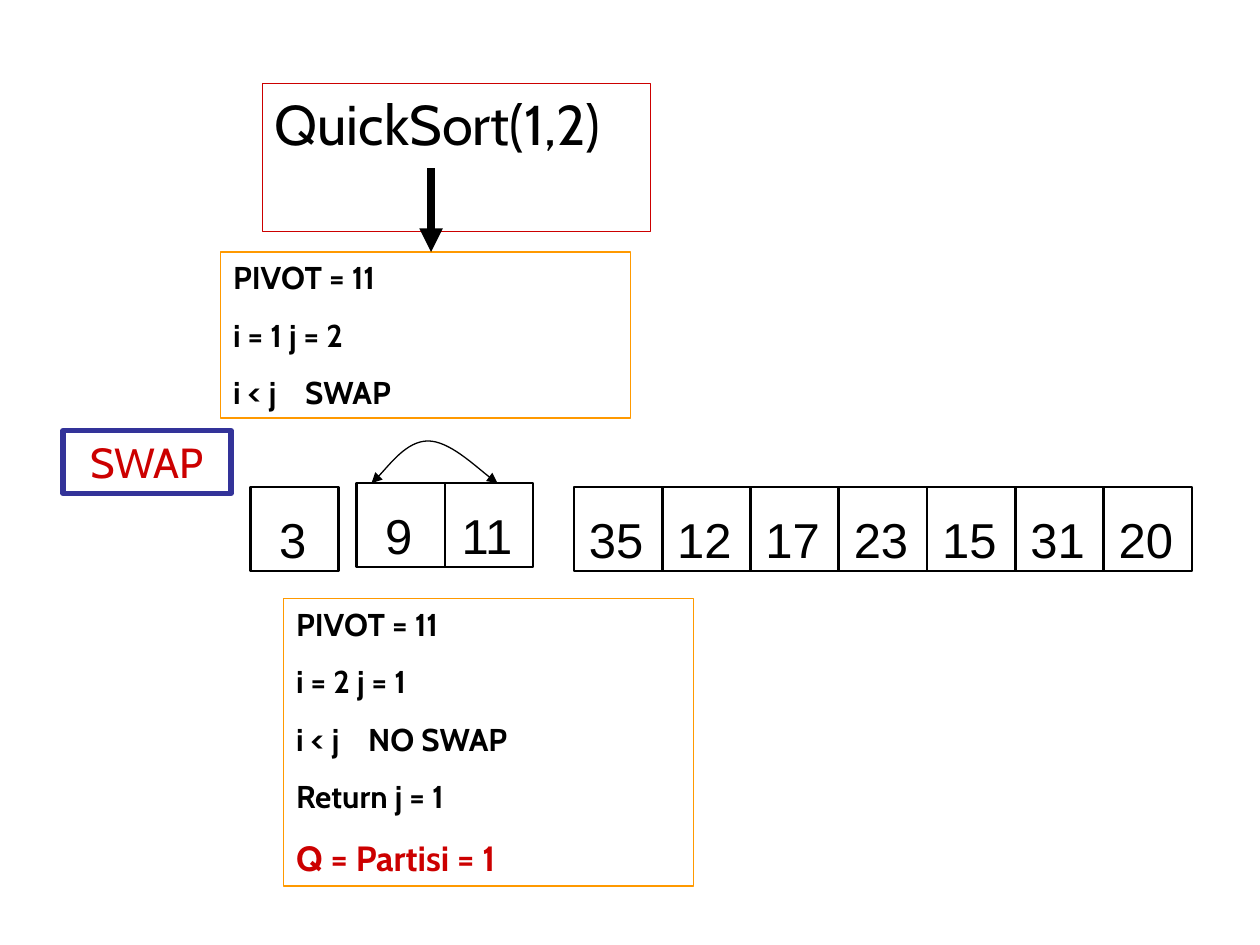
from lxml.etree import SubElement
from pptx import Presentation
from pptx.dml.color import RGBColor
from pptx.enum.shapes import MSO_CONNECTOR as Connector, MSO_SHAPE as Shape
from pptx.enum.text import MSO_ANCHOR as Anchor, PP_ALIGN as Align
from pptx.oxml.ns import qn
from pptx.util import Cm, Pt

BLACK = RGBColor(0x00, 0x00, 0x00)
RED = RGBColor(0xCC, 0x00, 0x00)
ORANGE = RGBColor(0xFF, 0x99, 0x00)
INDIGO = RGBColor(0x33, 0x33, 0x99)

CELL_WIDTH, CELL_HEIGHT = 1.78, 1.69


class SlideBuilder:
    text_font = "Cabin"
    number_font = "Arial"
    action_tab = 1.45

    def __init__(self, slide):
        self.slide = slide

    def frame(self, left, top, width, height, color, weight):
        box = self.slide.shapes.add_shape(
            Shape.RECTANGLE, Cm(left), Cm(top), Cm(width), Cm(height))
        box.shadow.inherit = False
        box.fill.background()
        box.line.color.rgb = color
        box.line.width = Pt(weight)
        box.text_frame.word_wrap = True
        box.text_frame.vertical_anchor = Anchor.TOP
        return box

    def add_text(self, paragraph, text, size, color=BLACK, bold=False,
                 font=None, align=Align.LEFT):
        paragraph.alignment = align
        run = paragraph.add_run()
        run.text = text
        run.font.name = font or self.text_font
        run.font.size = Pt(size)
        run.font.bold = bold
        run.font.color.rgb = color

    def label(self, bounds, text, size, color, border, weight, align=Align.LEFT):
        box = self.frame(*bounds, border, weight)
        self.add_text(box.text_frame.paragraphs[0], text, size, color, align=align)

    def steps(self, bounds, lines, result=None):
        """Trace box: bold lines, then an optional highlighted result."""
        text_frame = self.frame(*bounds, ORANGE, 0.75).text_frame
        rows = [(line, 18, BLACK, 11.2) for line in lines]
        if result:
            rows.append((result, 20, RED, 12.5))
        for index, (text, size, color, gap) in enumerate(rows):
            if index == 0:
                paragraph = text_frame.paragraphs[0]
            else:
                paragraph = text_frame.add_paragraph()
                paragraph.space_before = Pt(gap)
            if "\t" in text:
                stops = SubElement(paragraph._p.get_or_add_pPr(), qn("a:tabLst"))
                SubElement(stops, qn("a:tab"), pos=str(Cm(self.action_tab)), algn="l")
            self.add_text(paragraph, text, size, color, bold=True)

    def cells(self, left, top, values):
        """Row of adjoining array cells."""
        for index, value in enumerate(values):
            cell = self.frame(left + index * CELL_WIDTH, top,
                              CELL_WIDTH, CELL_HEIGHT, BLACK, 1.5)
            text_frame = cell.text_frame
            text_frame.word_wrap = False
            text_frame.vertical_anchor = Anchor.BOTTOM
            text_frame.margin_left = text_frame.margin_top = 0
            text_frame.margin_right = Cm(0.08)
            text_frame.margin_bottom = Cm(0.05)
            self.add_text(text_frame.paragraphs[0], str(value), 28,
                          font=self.number_font, align=Align.CENTER)

    def arrowheads(self, line, *ends):
        for end in ends:
            SubElement(line._get_or_add_ln(), qn(f"a:{end}"), type="triangle")

    def arrow(self, start, end, weight):
        connector = self.slide.shapes.add_connector(
            Connector.STRAIGHT, *map(Cm, start + end))
        connector.line.color.rgb = BLACK
        connector.line.width = Pt(weight)
        self.arrowheads(connector.line, "tailEnd")
        SubElement(connector._element.spPr, qn("a:effectLst"))

    def swap_curve(self, start, points):
        """Double-headed curve; every three points make one Bezier segment."""
        builder = self.slide.shapes.build_freeform(*map(Cm, start))
        builder.add_line_segments([(Cm(x), Cm(y)) for x, y in points], close=False)
        curve = builder.convert_to_shape()
        outline = next(curve._element.iter(qn("a:path")))
        segments = outline.findall(qn("a:lnTo"))
        for first in range(0, len(segments), 3):
            bezier = SubElement(outline, qn("a:cubicBezTo"))
            for segment in segments[first:first + 3]:
                bezier.append(segment[0])
                outline.remove(segment)
        curve.shadow.inherit = False
        curve.fill.background()
        curve.line.color.rgb = BLACK
        curve.line.width = Pt(0.75)
        self.arrowheads(curve.line, "headEnd", "tailEnd")


def main():
    deck = Presentation()
    deck.slide_width, deck.slide_height = Cm(25.4), Cm(19.05)
    page = SlideBuilder(deck.slides.add_slide(deck.slide_layouts[6]))

    page.steps((4.45, 5.08, 8.26, 3.35),
               ["PIVOT = 11", "i = 1 j = 2", "i < j\tSWAP"])
    page.label((5.29, 1.69, 7.83, 2.98), "QuickSort(1,2)", 32, BLACK, RED, 0.75)
    page.arrow((8.69, 3.39), (8.69, 5.08), 4.5)

    page.cells(5.05, 9.82, [3])
    page.cells(7.19, 9.74, [9, 11])
    page.cells(11.57, 9.82, [35, 12, 17, 23, 15, 31, 20])
    page.swap_curve((7.49, 9.74), [
        (7.67, 9.6), (8.2, 8.89), (8.63, 8.89),
        (9.05, 8.89), (9.75, 9.55), (10.03, 9.74)])

    page.steps((5.72, 12.07, 8.26, 5.79),
               ["PIVOT = 11", "i = 2 j = 1", "i < j\tNO SWAP", "Return j = 1"],
               result="Q = Partisi = 1")
    page.label((1.27, 8.68, 3.39, 1.27), "SWAP", 24, RED, INDIGO, 3, Align.CENTER)

    deck.save("out.pptx")


if __name__ == "__main__":
    main()
